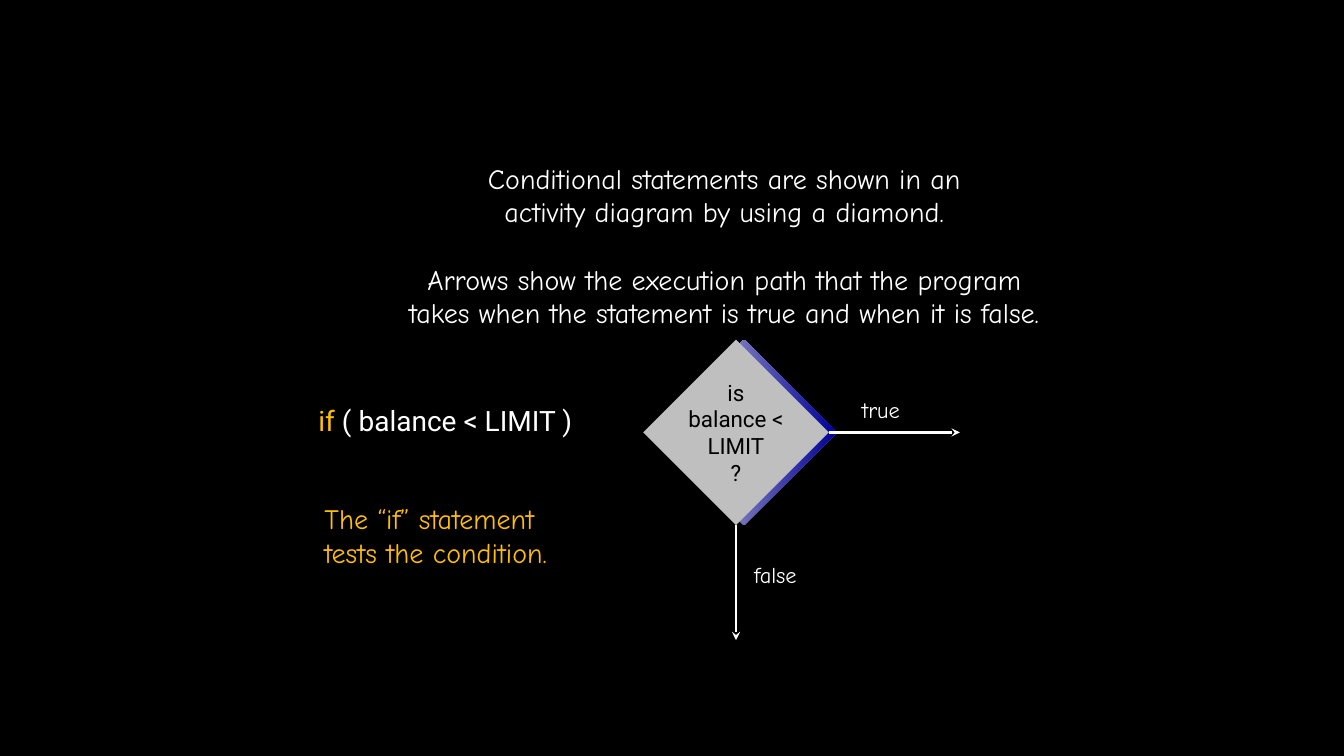
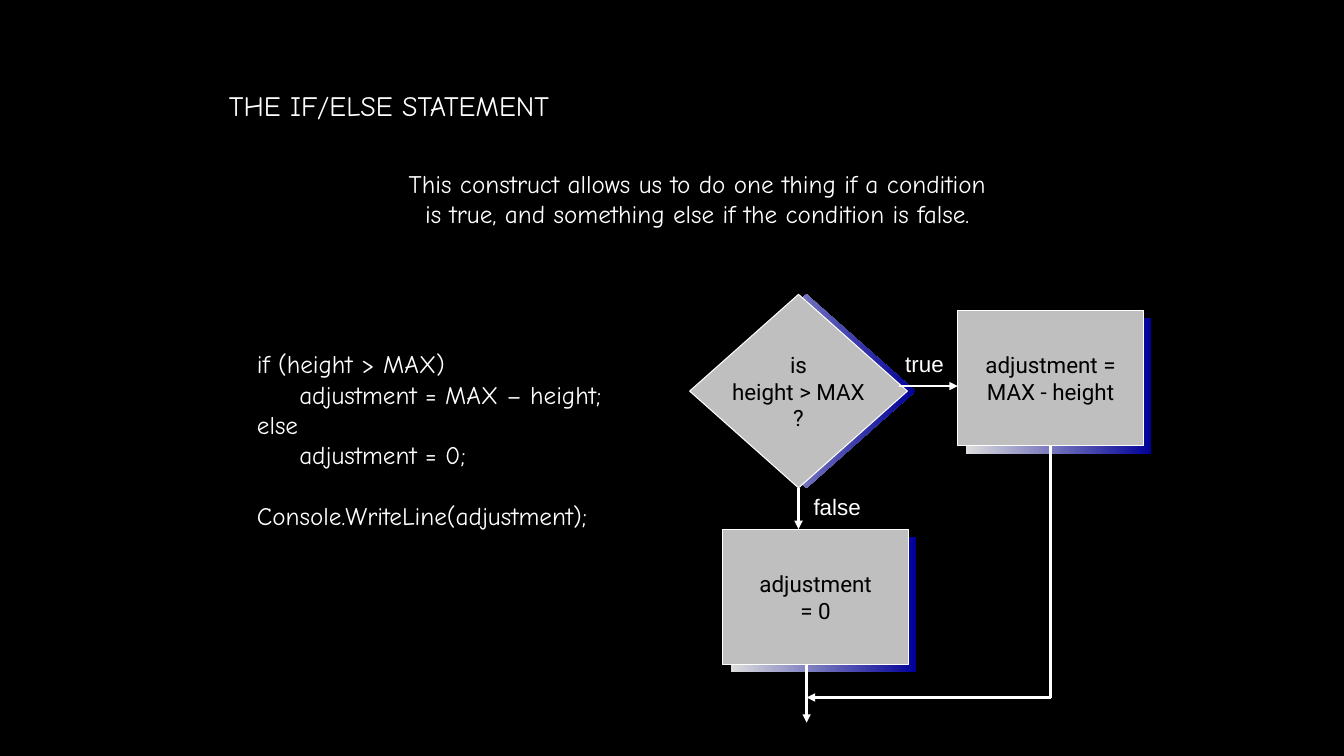
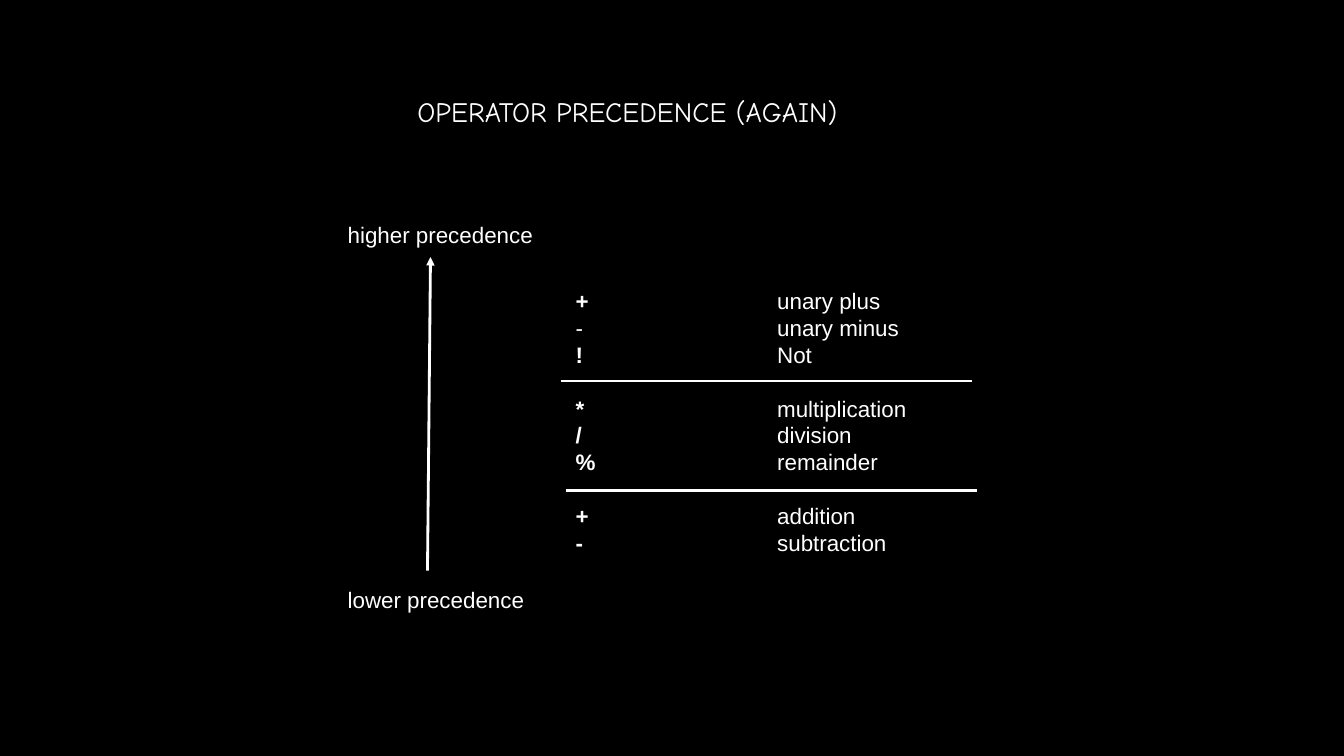
from lxml import etree
from pptx import Presentation
from pptx.dml.color import RGBColor
from pptx.enum import shapes, text
from pptx.oxml.ns import qn
from pptx.util import Inches, Pt

BLACK = RGBColor(0x00, 0x00, 0x00)
WHITE = RGBColor(0xFF, 0xFF, 0xFF)
AMBER = RGBColor(0xFF, 0xC0, 0x00)
GRAY = RGBColor(0xBF, 0xBF, 0xBF)
SHADE_START = RGBColor(0xDD, 0xDD, 0xDD)
SHADE_END = RGBColor(0x00, 0x00, 0x99)

HAND, SANS, CODE = "Comic Neue", "Arial", "Roboto"
LEFT, CENTER = text.PP_ALIGN.LEFT, text.PP_ALIGN.CENTER
DIAMOND, RECTANGLE = shapes.MSO_SHAPE.DIAMOND, shapes.MSO_SHAPE.RECTANGLE
BOTTOM_SITE, RIGHT_SITE = 2, 3
TITLE_ONLY, BLANK = 5, 6
LABEL_SIZE = 16
SHADE_OFFSET = 0.08


def line_height(size):
    return Pt(1.2 * size)


def format_text(text_frame, size, font, color, align=LEFT):
    for paragraph in text_frame.paragraphs:
        paragraph.alignment = align
        paragraph.line_spacing = line_height(size)
        for run in paragraph.runs:
            run.font.size = Pt(size)
            run.font.name = font
            run.font.color.rgb = color


def add_title(slide, words, left, top, width, height):
    title = slide.shapes.title
    title.left, title.top = Inches(left), Inches(top)
    title.width, title.height = Inches(width), Inches(height)
    title.text_frame.text = words
    title.text_frame.vertical_anchor = text.MSO_ANCHOR.MIDDLE
    format_text(title.text_frame, 20, HAND, WHITE)


def add_text(slide, lines, left, top, width, height, size=20, font=HAND,
             color=WHITE, align=LEFT):
    box = slide.shapes.add_textbox(Inches(left), Inches(top), Inches(width), Inches(height))
    box.text_frame.word_wrap = True
    box.text_frame.text = "\n".join(lines)
    format_text(box.text_frame, size, font, color, align)
    return box.text_frame


def add_label(slide, words, left, top, font=SANS, width=0.75):
    add_text(slide, [words], left, top, width, 0.37, LABEL_SIZE, font)


def add_plain_shape(slide, kind, left, top, width, height):
    shape = slide.shapes.add_shape(
        kind, Inches(left), Inches(top), Inches(width), Inches(height))
    shape.shadow.inherit = False
    shape.line.fill.background()
    return shape


def add_node(slide, kind, lines, left, top, width, height, drop=0.0, outlined=True):
    """Add a flowchart node over a gradient twin set off to the right and down by drop."""
    shade = add_plain_shape(slide, kind, left + SHADE_OFFSET, top + drop, width, height)
    shade.fill.gradient()
    shade.fill.gradient_angle = 0
    for stop, color in zip(shade.fill.gradient_stops, (SHADE_START, SHADE_END)):
        stop.color.rgb = color

    node = add_plain_shape(slide, kind, left, top, width, height)
    node.fill.solid()
    node.fill.fore_color.rgb = GRAY
    if outlined:
        node.line.color.rgb = WHITE
        node.line.width = Pt(0.75)
    node.text_frame.word_wrap = False
    node.text_frame.vertical_anchor = text.MSO_ANCHOR.MIDDLE
    node.text_frame.text = "\n".join(lines)
    format_text(node.text_frame, LABEL_SIZE, CODE, BLACK, CENTER)
    return node


def add_line(slide, start, end, head=None, source=None, site=BOTTOM_SITE):
    """Add a line with an optional arrowhead at its end, joined to source if given."""
    line = slide.shapes.add_connector(
        shapes.MSO_CONNECTOR.STRAIGHT, *(Inches(value) for value in (*start, *end)))
    line.line.color.rgb = WHITE
    line.line.width = Pt(2)
    if head:
        etree.SubElement(line.line._get_or_add_ln(), qn("a:tailEnd"), type=head)
    etree.SubElement(line._element.spPr, qn("a:effectLst"))
    if source is not None:
        line.begin_connect(source, site)


def add_operator_list(slide, groups, left, top, width, height):
    """List operators and their names in two tabbed columns, with a gap between groups."""
    text_frame = add_text(slide, [], left, top, width, height)
    paragraph = text_frame.paragraphs[0]
    for group_index, group in enumerate(groups):
        for index, (symbol, name, bold) in enumerate(group):
            if group_index or index:
                paragraph = text_frame.add_paragraph()
            if group_index and not index:
                paragraph.space_before = line_height(LABEL_SIZE)
            symbol_run, name_run = paragraph.add_run(), paragraph.add_run()
            symbol_run.text, symbol_run.font.bold = symbol, bold
            name_run.text = "\t" + name
    format_text(text_frame, LABEL_SIZE, SANS, WHITE)
    for paragraph in text_frame.paragraphs:
        tabs = etree.SubElement(paragraph._p.get_or_add_pPr(), qn("a:tabLst"))
        etree.SubElement(tabs, qn("a:tab"), pos=str(Inches(2)), algn="l")


def build_if_slide(slide):
    intro = add_text(slide, [
        "Conditional statements are shown in an",
        "activity diagram by using a diamond.",
        "Arrows show the execution path that the program",
        "takes when the statement is true and when it is false.",
    ], 3.55, 1.55, 7.27, 1.78, align=CENTER)
    intro.paragraphs[2].space_before = line_height(20)

    condition = add_text(slide, [], 3.06, 3.95, 2.89, 0.44).paragraphs[0]
    for words in ("if", " ( balance < LIMIT )"):
        condition.add_run().text = words
    format_text(condition._parent, 20, CODE, WHITE)
    condition.runs[0].font.color.rgb = AMBER

    decision = add_node(slide, DIAMOND, ["is", "balance <", "LIMIT", "?"],
                        6.38, 3.37, 1.84, 1.84, outlined=False)
    add_line(slide, (8.22, 4.29), (9.52, 4.29), "stealth", decision, RIGHT_SITE)
    add_label(slide, "true", 8.45, 3.88, HAND)
    add_line(slide, (7.3, 5.21), (7.3, 6.35), "stealth", decision)
    add_label(slide, "false", 7.38, 5.52, HAND)
    add_text(slide, ["The “if” statement", "tests the condition."],
             3.12, 4.93, 2.76, 0.77, color=AMBER)


def build_if_else_slide(slide):
    add_title(slide, "THE IF/ELSE STATEMENT", 2.17, 0.67, 4.2, 0.74)
    add_text(slide, [
        "This construct allows us to do one thing if a condition",
        "is true, and something else if the condition is false.",
    ], 3.67, 1.62, 6.49, 0.71, size=18, align=CENTER)

    code = add_text(slide, [
        "if (height > MAX)",
        "adjustment = MAX – height;",
        "else",
        "adjustment = 0;",
        "Console.WriteLine(adjustment);",
    ], 2.45, 3.41, 3.94, 1.92, size=18)
    for index in (1, 3):
        code.paragraphs[index]._p.get_or_add_pPr().set("marL", str(Inches(0.42)))
    code.paragraphs[4].space_before = line_height(18)

    decision = add_node(slide, DIAMOND, ["is", "height > MAX", "?"], 6.84, 2.92, 2.16, 1.92)
    true_step = add_node(slide, RECTANGLE, ["adjustment =", "MAX - height"],
                         9.5, 3.08, 1.84, 1.34, SHADE_OFFSET)
    add_node(slide, RECTANGLE, ["adjustment", "= 0"], 7.17, 5.25, 1.84, 1.34, SHADE_OFFSET)

    add_line(slide, (8.92, 3.83), (9.5, 3.83), "triangle")
    add_line(slide, (7.92, 4.84), (7.92, 5.25), "triangle", decision)
    add_line(slide, (8, 6.59), (8, 7.17), "triangle")
    add_line(slide, (10.42, 4.42), (10.42, 6.92), source=true_step)
    add_line(slide, (10.42, 6.92), (8, 6.92), "triangle")
    add_label(slide, "true", 8.88, 3.42)
    add_label(slide, "false", 7.97, 4.84)


def build_precedence_slide(slide):
    add_title(slide, "OPERATOR PRECEDENCE (AGAIN)", 4.04, 0.72, 5.28, 0.76)
    add_operator_list(slide, [
        [("+", "unary plus", True), ("-", "unary minus", False), ("!", "Not", True)],
        [("*", "multiplication", True), ("/", "division", True), ("%", "remainder", True)],
        [("+", "addition", True), ("-", "subtraction", True)],
    ], 5.61, 2.8, 3.52, 3.33)
    add_line(slide, (4.24, 5.66), (4.27, 2.55), "triangle")
    add_label(slide, "higher precedence", 3.35, 2.14, width=2.1)
    add_label(slide, "lower precedence", 3.35, 5.77, width=2.1)
    for left, top in ((5.56, 3.78), (5.61, 4.87)):
        add_line(slide, (left, top), (left + 4.08, top))


def main():
    presentation = Presentation()
    presentation.slide_width, presentation.slide_height = Inches(13.33), Inches(7.5)
    background = presentation.slide_master.background.fill
    background.solid()
    background.fore_color.rgb = BLACK

    for layout, build in ((BLANK, build_if_slide),
                          (TITLE_ONLY, build_if_else_slide),
                          (TITLE_ONLY, build_precedence_slide)):
        build(presentation.slides.add_slide(presentation.slide_layouts[layout]))
    presentation.save("out.pptx")


if __name__ == "__main__":
    main()
